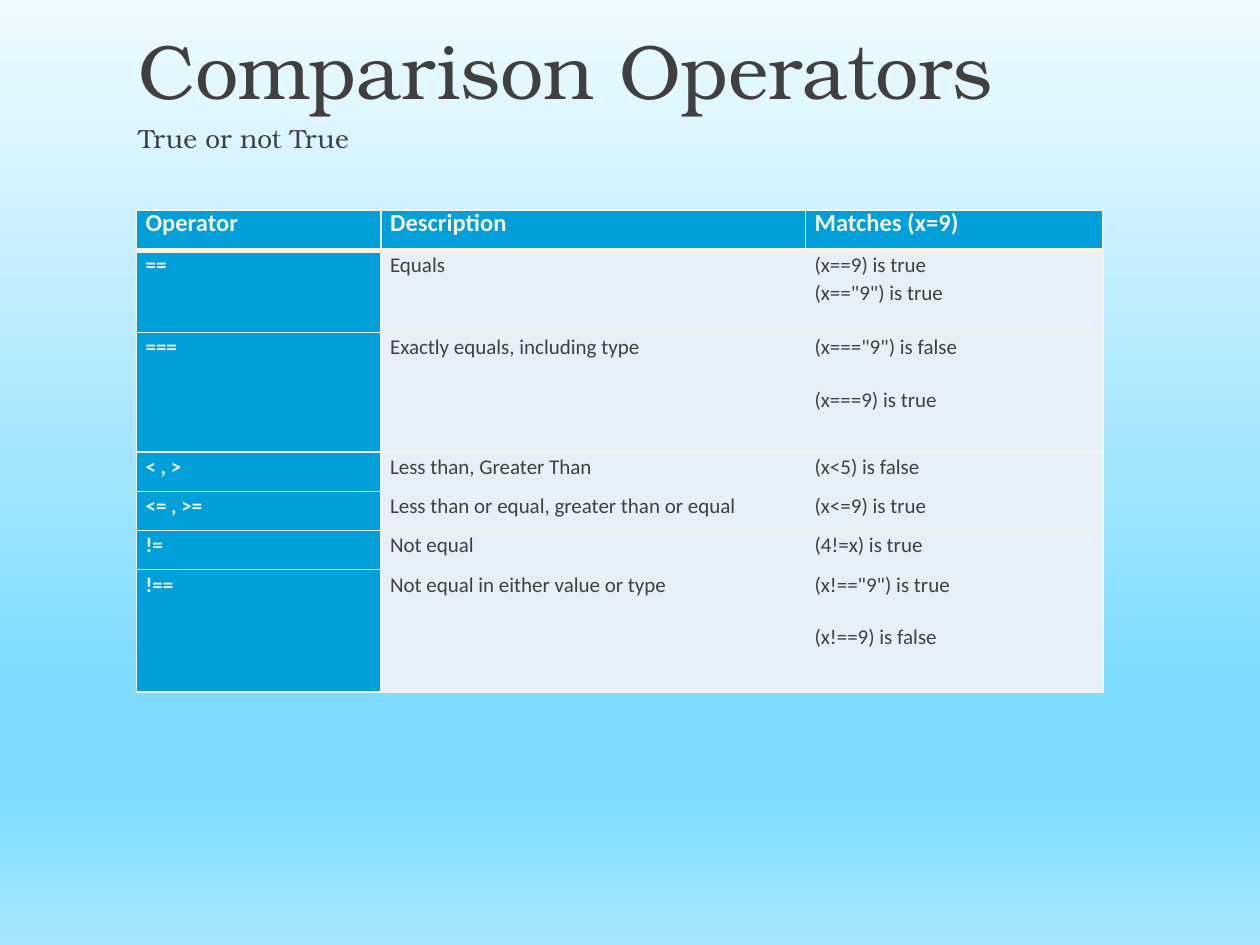
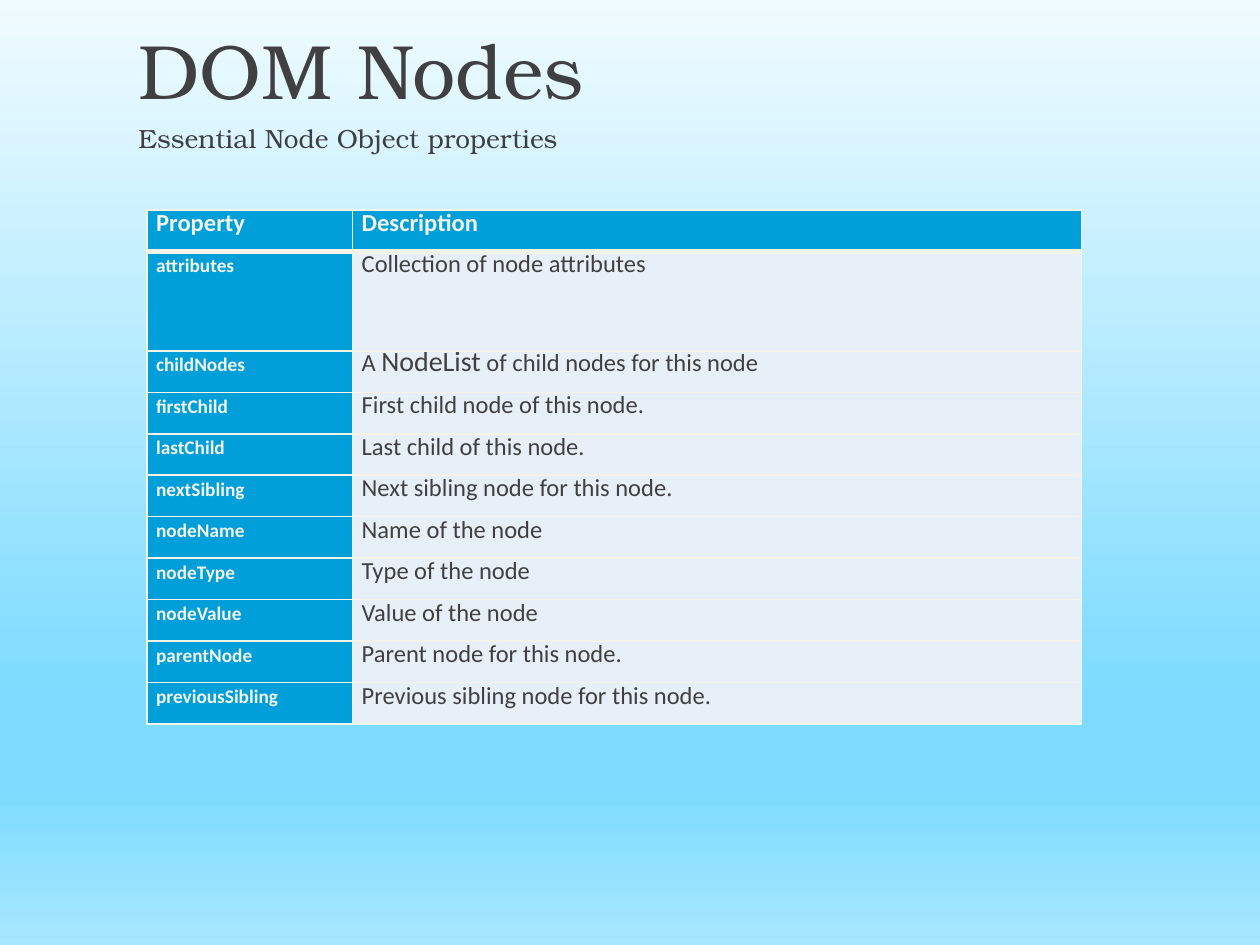
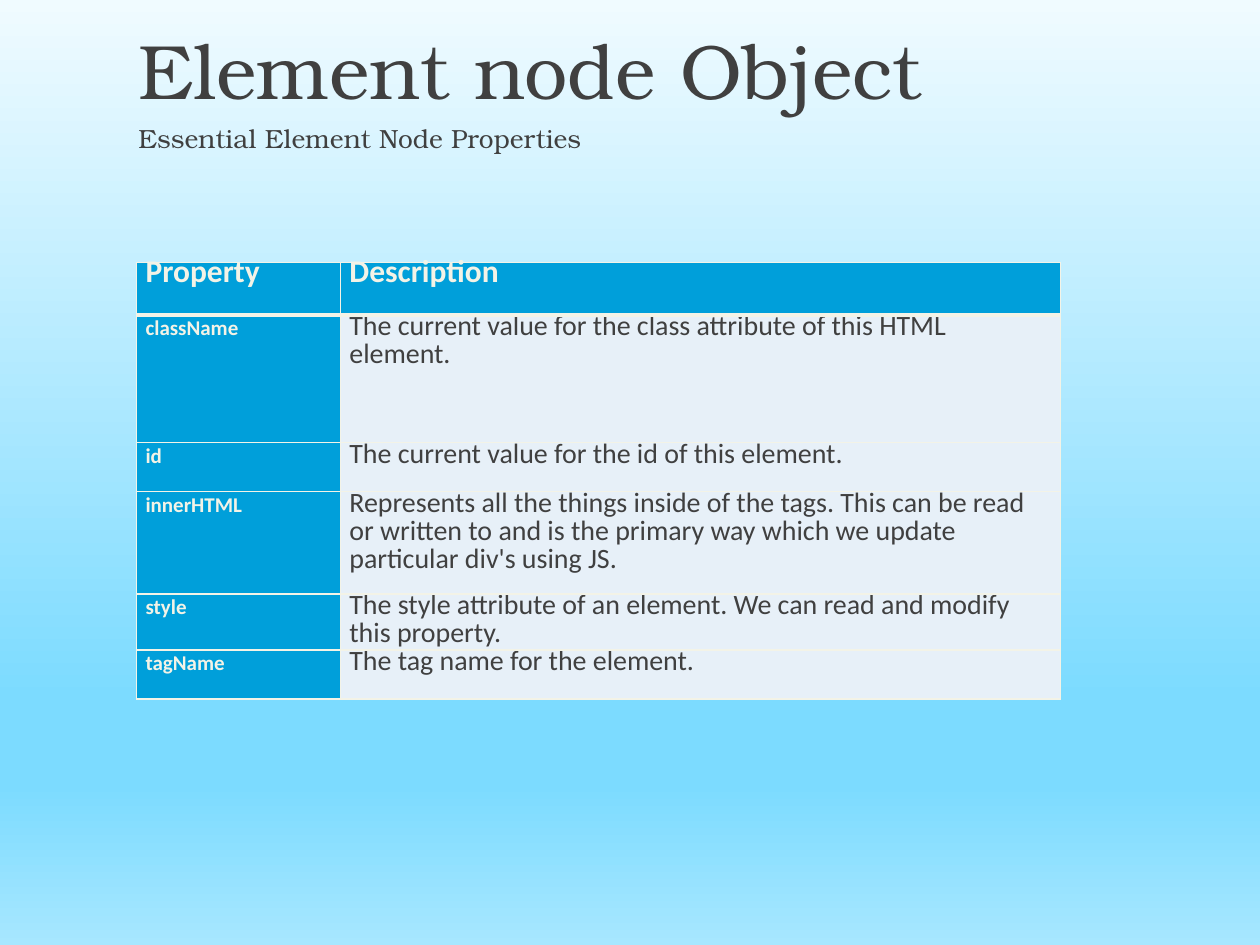
from dataclasses import dataclass

from lxml.etree import SubElement
from pptx import Presentation
from pptx.dml.color import RGBColor
from pptx.enum.text import MSO_ANCHOR
from pptx.oxml.ns import qn
from pptx.util import Pt


@dataclass(frozen=True)
class Theme:
    sky: tuple = ((0, "F0FBFF"), (74, "7CDBFF"), (83, "7CDBFF"), (100, "A7E7FF"))
    ink: str = "404040"
    cream: str = "F3F3E7"
    blue: str = "009FDA"
    pale: str = "E7F0F8"
    heading_font: str = "TeX Gyre Bonum"
    table_font: str = "Calibri"
    title_size: int = 44
    subtitle_size: int = 15
    large_size: int = 16
    thin: int = 1
    thick: int = 3


@dataclass(frozen=True)
class TableText:
    header: int
    key: int
    body: int
    key_leading: int = 15
    key_after: int = 0


class Deck:
    def __init__(self, theme):
        self.theme = theme
        self.prs = Presentation()
        self.prs.slide_width, self.prs.slide_height = Pt(720), Pt(540)
        self.s = None
        self.paint_background()

    def paint_background(self):
        master = self.prs.slide_master
        fill = master.background.fill
        fill.gradient()
        fill.gradient_angle = 270
        stops = master.element.find(".//" + qn("a:gsLst"))
        for stop in list(stops):
            stops.remove(stop)
        for position, color in self.theme.sky:
            stop = SubElement(stops, qn("a:gs"), pos=str(position * 1000))
            SubElement(stop, qn("a:srgbClr"), val=color)

    def slide(self, title, subtitle):
        self.s = self.prs.slides.add_slide(self.prs.slide_layouts[6])
        self.heading(title, 72, 9.4, 612, 80.6, self.theme.title_size)
        self.heading(subtitle, 72, 66.2, 504, 23.8, self.theme.subtitle_size)

    def style(self, p, font, size, color, bold=False):
        p.font.name = font
        p.font.size = Pt(size)
        p.font.bold = bold
        p.font.color.rgb = RGBColor.from_string(color)

    def heading(self, text, left, top, width, height, size):
        sp = self.s.shapes.add_textbox(Pt(left), Pt(top), Pt(width), Pt(height))
        tf = sp.text_frame
        tf.word_wrap = True
        tf.text = text
        self.style(tf.paragraphs[0], self.theme.heading_font, size, self.theme.ink)

    def table(self, left, top, widths, heights, rows, text):
        t = self.theme
        frame = self.s.shapes.add_table(
            len(rows), len(widths), Pt(left), Pt(top), Pt(sum(widths)), Pt(sum(heights)))
        table = frame.table
        table.horz_banding = False
        for column, width in zip(table.columns, widths):
            column.width = Pt(width)
        for row, height in zip(table.rows, heights):
            row.height = Pt(height)
        for i, row in enumerate(rows):
            for j, content in enumerate(row):
                cell = table.cell(i, j)
                self.borders(cell, i)
                if i == 0:
                    self.cell(cell, content, t.blue, t.cream, text.header, 16, 14)
                elif j == 0:
                    self.cell(cell, content, t.blue, t.cream, text.key,
                              text.key_leading, text.key_after)
                else:
                    self.cell(cell, content, t.pale, t.ink, text.body, 16, 7)

    def cell(self, cell, content, fill, color, size, leading, after):
        cell.margin_left = cell.margin_right = Pt(5.2)
        cell.margin_top = cell.margin_bottom = 0
        cell.vertical_anchor = MSO_ANCHOR.TOP
        cell.fill.solid()
        cell.fill.fore_color.rgb = RGBColor.from_string(fill)
        tf = cell.text_frame
        if isinstance(content, str):
            tf.text = content
        else:
            self.mixed_runs(tf.paragraphs[0], content)
        for k, p in enumerate(tf.paragraphs):
            p.line_spacing = Pt(leading)
            p.space_after = Pt(after)
            if k > 0:
                p.space_before = Pt(7)
            self.style(p, self.theme.table_font, size, color, color == self.theme.cream)

    def mixed_runs(self, p, parts):
        for k, part in enumerate(parts):
            r = p.add_run()
            r.text = part
            if k % 2:
                r.font.size = Pt(self.theme.large_size)

    def borders(self, cell, row):
        t = self.theme
        top = t.thick if row == 1 else t.thin
        bottom = t.thick if row == 0 else t.thin
        tc_pr = cell._tc.get_or_add_tcPr()
        for side, width in (("L", t.thin), ("R", t.thin), ("T", top), ("B", bottom)):
            line = SubElement(tc_pr, qn("a:ln" + side), w=str(Pt(width)))
            fill = SubElement(line, qn("a:solidFill"))
            SubElement(fill, qn("a:srgbClr"), val=t.cream)


def main():
    deck = Deck(Theme())

    deck.slide("Comparison Operators", "True or not True")
    operators = [
        ("Operator", "Description", "Matches (x=9)"),
        ("==", "Equals", '(x==9) is true\v(x=="9") is true'),
        ("===", "Exactly equals, including type", '(x==="9") is false\n(x===9) is true'),
        ("< , >", "Less than, Greater Than", "(x<5) is false"),
        ("<= , >=", "Less than or equal, greater than or equal", "(x<=9) is true"),
        ("!=", "Not equal", "(4!=x) is true"),
        ("!==", "Not equal in either value or type", '(x!=="9") is true\n(x!==9) is false'),
    ]
    deck.table(78, 120, [139.7, 242.6, 169.9], [23, 47, 68.4, 22.4, 22.4, 22.4, 70],
               operators, TableText(14, 12, 12, key_leading=16, key_after=7))

    deck.slide("DOM Nodes", "Essential Node Object properties")
    node_properties = [
        ("Property", "Description"),
        ("attributes", "Collection of node attributes"),
        ("childNodes", ("A ", "NodeList", " of child nodes for this node")),
        ("firstChild", "First child node of this node."),
        ("lastChild", "Last child of this node."),
        ("nextSibling", "Next sibling node for this node."),
        ("nodeName", "Name of the node"),
        ("nodeType", "Type of the node"),
        ("nodeValue", "Value of the node"),
        ("parentNode", "Parent node for this node."),
        ("previousSibling", "Previous sibling node for this node."),
    ]
    deck.table(84, 120, [117.5, 416.5], [23.7, 56.8] + [23.7] * 9,
               node_properties, TableText(14, 11, 14))

    deck.slide("Element node Object", "Essential Element Node Properties")
    element_properties = [
        ("Property", "Description"),
        ("className", "The current value for the class attribute of this HTML element."),
        ("id", "The current value for the id of this element."),
        ("innerHTML", "Represents all the things inside of the tags. This can be read or "
                      "written to and is the primary way which we update particular "
                      "div's using JS."),
        ("style", "The style attribute of an element. We can read and modify this property."),
        ("tagName", "The tag name for the element."),
    ]
    deck.table(78, 150, [116.5, 411.5], [30, 73, 28, 58.5, 32, 28],
               element_properties, TableText(18, 12, 16))

    deck.prs.save("out.pptx")


if __name__ == "__main__":
    main()
